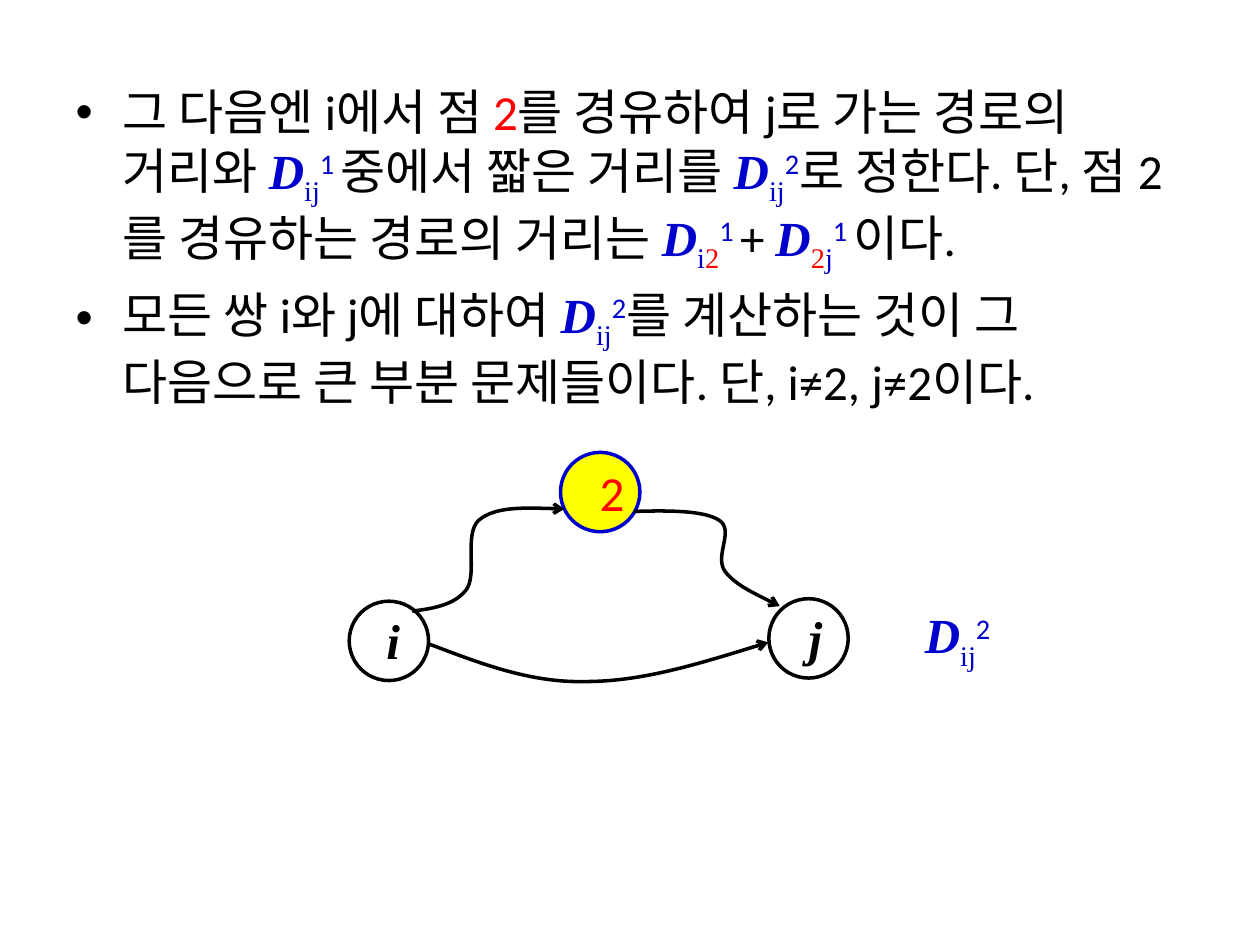
from dataclasses import dataclass

import lxml.etree
import pptx
import pptx.dml.color
import pptx.enum.shapes
import pptx.enum.text
import pptx.oxml.ns
import pptx.util

Cm, Pt = pptx.util.Cm, pptx.util.Pt
qn = pptx.oxml.ns.qn
BLACK, RED, BLUE, YELLOW = "000000", "FF0000", "0000CC", "FFFF00"
SANS, SERIF = "Calibri", "Times New Roman"
TEXT_SIZE = Pt(28)
NODE_SIZE = 1.6
LABEL_WIDTH, LABEL_HEIGHT = 0.61, 1.45


@dataclass
class Run:
    text: str
    color: str = BLACK
    font: str = SANS
    strong: bool = False  # bold italic
    baseline: int = 0  # percent


@dataclass
class Node:
    left: float
    top: float
    line: str = BLACK
    fill: str | None = None


@dataclass
class Label:
    left: float
    top: float
    runs: list[Run]
    width: float = LABEL_WIDTH


def rgb(color: str) -> pptx.dml.color.RGBColor:
    return pptx.dml.color.RGBColor.from_string(color)


def subscript(text: str, color: str = BLUE) -> Run:
    return Run(text, color, SERIF, baseline=-25)


def distance(subs: list[Run], sup: str) -> list[Run]:
    """Symbol D with its subscripts and superscript."""
    return [Run("D", BLUE, SERIF, True), *subs, Run(sup, BLUE, baseline=30)]


def write(p, runs: list[Run]) -> None:
    p.font.size = TEXT_SIZE
    for run in runs:
        r = p.add_run()
        r.text = run.text
        r.font.name = run.font
        r.font.color.rgb = rgb(run.color)
        if run.strong:
            r.font.bold = r.font.italic = True
        if run.baseline:
            r.font._element.set("baseline", str(run.baseline * 1000))


def style_outline(sp, line: str, fill: str | None = None) -> None:
    sp.shadow.inherit = False
    sp.line.color.rgb = rgb(line)
    sp.line.width = Pt(2)
    if fill:
        sp.fill.solid()
        sp.fill.fore_color.rgb = rgb(fill)
    else:
        sp.fill.background()


def draw_node(s, node: Node) -> None:
    sp = s.shapes.add_shape(pptx.enum.shapes.MSO_SHAPE.OVAL, Cm(node.left), Cm(node.top),
                            Cm(NODE_SIZE), Cm(NODE_SIZE))
    style_outline(sp, node.line, node.fill)


def draw_label(s, label: Label) -> None:
    sp = s.shapes.add_textbox(Cm(label.left), Cm(label.top), Cm(label.width), Cm(LABEL_HEIGHT))
    tf = sp.text_frame
    tf.word_wrap = True
    tf.auto_size = pptx.enum.text.MSO_AUTO_SIZE.SHAPE_TO_FIT_TEXT
    p = tf.paragraphs[0]
    p.alignment = pptx.enum.text.PP_ALIGN.CENTER
    write(p, label.runs)


def draw_route(s, points: list[tuple[float, float]]) -> None:
    """Arrow along Bézier curves: a start, then three points for each curve."""
    start, *rest = [(Cm(x), Cm(y)) for x, y in points]
    builder = s.shapes.build_freeform(*start)
    builder.add_line_segments(rest, close=False)
    sp = builder.convert_to_shape()
    style_outline(sp, BLACK)
    outline = sp._element.find(".//" + qn("a:path"))
    for n, segment in enumerate(outline.findall(qn("a:lnTo"))):
        if n % 3 == 0:
            curve = lxml.etree.SubElement(outline, qn("a:cubicBezTo"))
        curve.append(segment[0])
        outline.remove(segment)
    ln = sp._element.spPr.find(qn("a:ln"))
    lxml.etree.SubElement(ln, qn("a:tailEnd"), type="arrow")


D_IJ_2 = distance([subscript("ij")], "2")
PARAGRAPHS = [
    [
        Run("그 다음엔 i에서 점 "), Run("2", RED), Run("를 경유하여 j로 가는 경로의 거리와 "),
        *distance([subscript("ij")], "1 "), Run("중에서 짧은 거리를 "),
        *D_IJ_2, Run("로 정한다. 단, 점 2를 경유하는 경로의 거리는 "),
        *distance([subscript("i"), subscript("2", RED)], "1 "), Run("+ "),
        *distance([subscript("2", RED), subscript("j")], "1 "), Run("이다."),
    ],
    [
        Run("모든 쌍 i와 j에 대하여 "), *D_IJ_2,
        Run("를 계산하는 것이 그 다음으로 큰 부분 문제들이다. 단, i≠2, j≠2이다."),
    ],
]
NODES = [Node(11.3, 9.12, BLUE, YELLOW), Node(15.5, 12.07), Node(7.04, 12.12)]
LABELS = [
    Label(7.54, 12.19, [Run("i", BLACK, SERIF, True)]),
    Label(16.05, 12.12, [Run("j", BLACK, SERIF, True)]),
    Label(11.84, 9.2, [Run("2", RED)]),
    Label(18.11, 12.07, D_IJ_2, 2.39),
]
ROUTES = [
    [(8.31, 12.32), (8.74, 12.27), (9.17, 12.19), (9.4, 11.89), (9.63, 11.58),
     (9.35, 10.77), (9.65, 10.49), (9.98, 10.21), (10.69, 10.24), (11.38, 10.26)],
    [(12.78, 10.31), (13.49, 10.29), (14.2, 10.29), (14.5, 10.49), (14.81, 10.69),
     (14.4, 11.2), (14.61, 11.51), (14.81, 11.79), (15.72, 12.22), (15.72, 12.22)],
    [(8.64, 12.98), (9.65, 13.36), (10.67, 13.77), (11.81, 13.74),
     (12.95, 13.74), (14.22, 13.34), (15.49, 12.95)],
]


def main() -> None:
    prs = pptx.Presentation()
    prs.slide_width, prs.slide_height = Cm(25.4), Cm(19.05)
    s = prs.slides.add_slide(prs.slide_layouts.get_by_name("Title and Content"))
    title = s.shapes.title._element
    title.getparent().remove(title)

    body = s.placeholders[1]
    body.left, body.top, body.width, body.height = Cm(1.27), Cm(1.52), Cm(22.86), Cm(15.5)
    tf = body.text_frame
    for n, runs in enumerate(PARAGRAPHS):
        p = tf.add_paragraph() if n else tf.paragraphs[0]
        p.space_before = Pt(5.6 if n else 0)
        write(p, runs)

    for node in NODES:
        draw_node(s, node)
    for label in LABELS:
        draw_label(s, label)
    for route in ROUTES:
        draw_route(s, route)
    prs.save("out.pptx")


if __name__ == "__main__":
    main()
